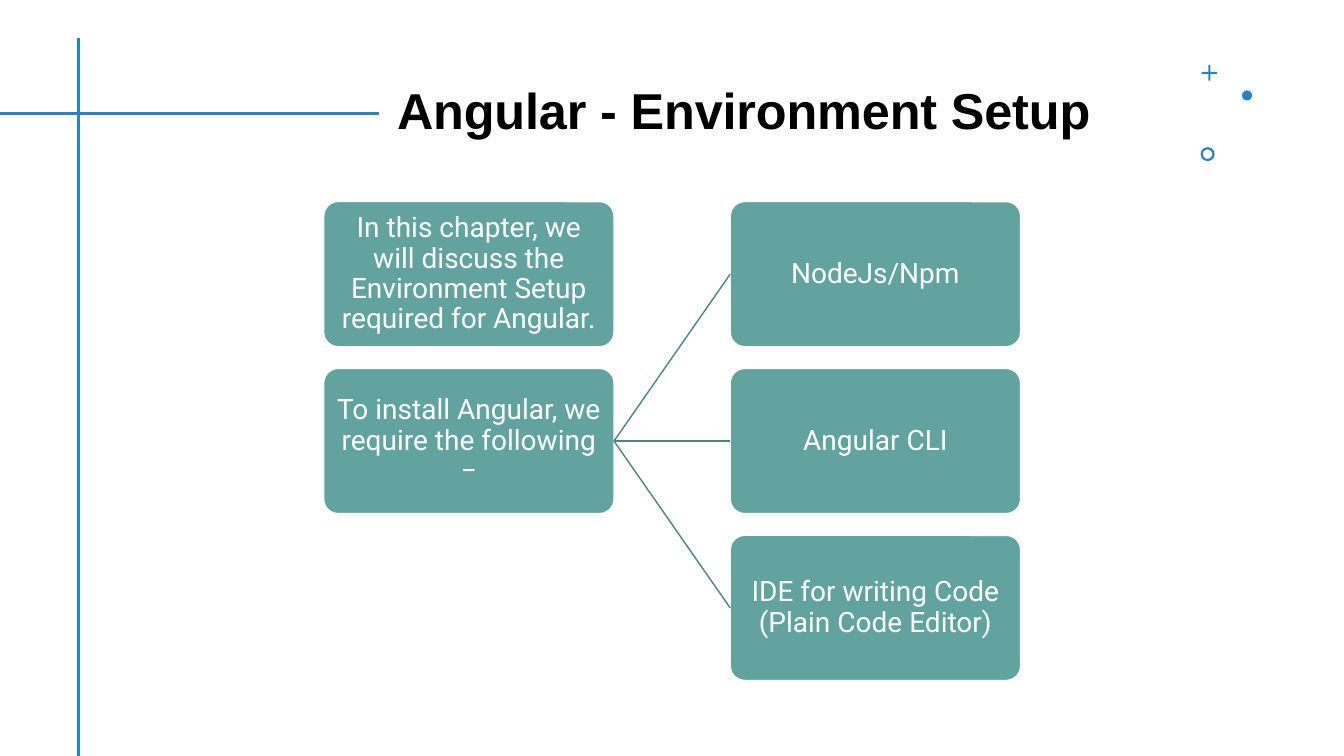
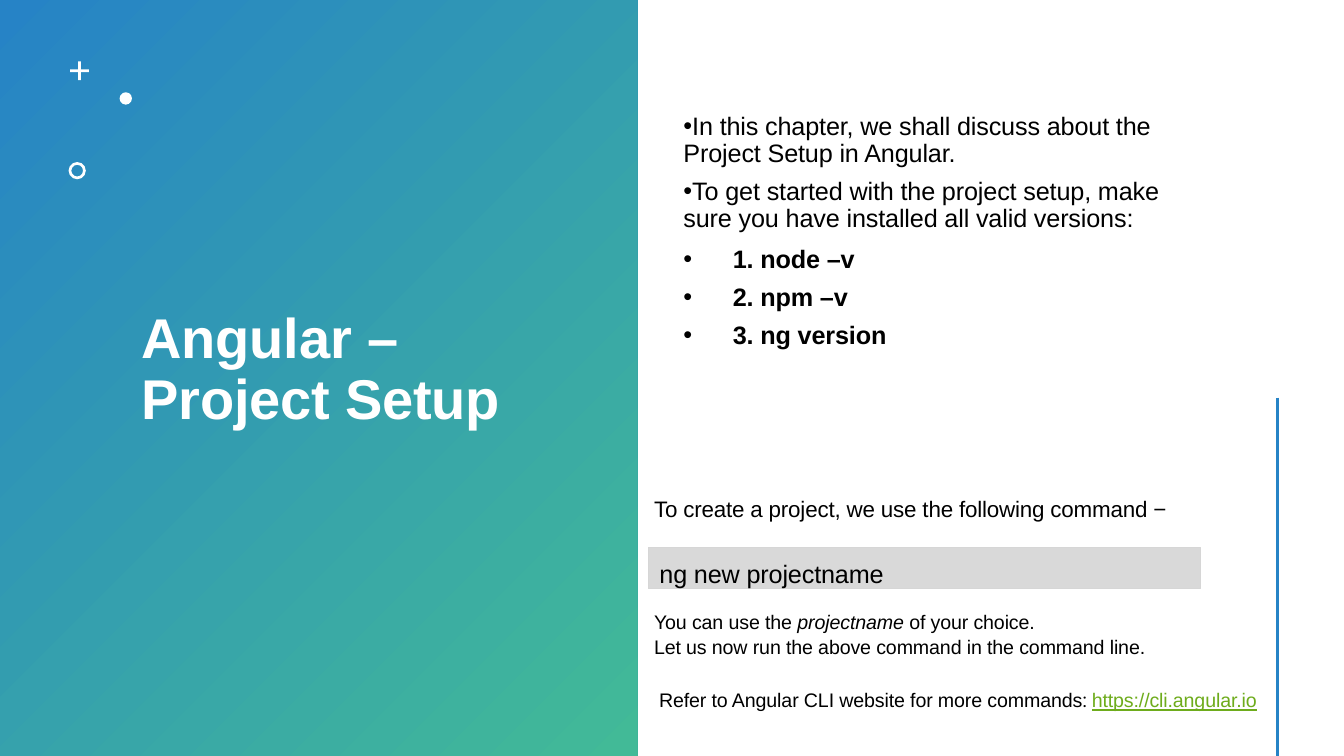
from dataclasses import dataclass

from lxml.etree import SubElement
from pptx import Presentation
from pptx.dml.color import RGBColor
from pptx.enum.shapes import MSO_CONNECTOR, MSO_SHAPE
from pptx.enum.text import MSO_ANCHOR, PP_ALIGN
from pptx.oxml.ns import qn
from pptx.util import Pt


@dataclass(frozen=True)
class Theme:
    blue: str = "2683C6"
    green: str = "42BA97"
    teal: str = "62A39F"
    dark_teal: str = "4E837F"
    black: str = "000000"
    white: str = "FFFFFF"
    gray: str = "D9D9D9"
    gray_line: str = "D6D6D6"
    link: str = "6EAC1C"
    font: str = "Arial"
    box_font: str = "Roboto"
    title: int = 36
    side_title: int = 40
    box: int = 20
    body: int = 18
    lead: int = 16
    note: int = 14
    rule: float = 2.25
    tracking: float = -0.1


THEME = Theme()
WIDTH, HEIGHT = 960, 540

# Slide 1
SETUP_TITLE = "Angular - Environment Setup"
STEPS = [
    "In this chapter, we will discuss the Environment Setup required for Angular.",
    "To install Angular, we require the following −",
]
REQUIREMENTS = ["NodeJs/Npm", "Angular CLI", "IDE for writing Code (Plain Code Editor)"]

# Slide 2: a paragraph is a list of (text, style) runs
PROJECT_TITLE = "Angular – Project Setup"
BOLD = {"bold": True}
BULLETS = [  # space before, runs
    (0, [("In this chapter, we shall discuss about the Project Setup in Angular.", {})]),
    (7.5, [("To get started with the project setup, make sure you have installed "
            "all valid versions:", {})]),
    (10, [("\t1. node –v", BOLD)]),
    (7.5, [("\t2. npm –v", BOLD)]),
    (7.5, [("\t3. ng version", BOLD)]),
]
LEAD = [[("To create a project, we use the following command −", {})]]
COMMAND = [[("ng new projectname", {})]]
NOTES = [
    [("You can use the ", {}), ("projectname ", {"italic": True}), ("of your choice.", {})],
    [("Let us now run the above command in the command line.", {})],
]
REFERENCE = [[
    ("Refer to Angular CLI website for more commands", {}),
    (": ", {"font": THEME.box_font}),
    ("https://cli.angular.io", {"color": THEME.link, "underline": True}),
]]


def rgb(value):
    return RGBColor.from_string(value)


def add_shape(slide, kind, box, fill, line=None, line_width=1.0):
    shape = slide.shapes.add_shape(kind, *map(Pt, box))
    shape.shadow.inherit = False
    shape.fill.solid()
    shape.fill.fore_color.rgb = rgb(fill)
    if line:
        shape.line.color.rgb = rgb(line)
        shape.line.width = Pt(line_width)
    else:
        shape.line.fill.background()
    return shape


def add_line(slide, start, end, color=THEME.blue, width=THEME.rule):
    connector = slide.shapes.add_connector(MSO_CONNECTOR.STRAIGHT, *map(Pt, (*start, *end)))
    connector.line.color.rgb = rgb(color)
    connector.line.width = Pt(width)
    SubElement(connector._element.spPr, qn("a:effectLst"))
    return connector


def add_run(paragraph, text, size, font=THEME.font, color=THEME.black, bold=False,
            italic=False, underline=False, tracking=THEME.tracking):
    run = paragraph.add_run()
    run.text = text
    run.font.size = Pt(size)
    run.font.name = font
    run.font.color.rgb = rgb(color)
    run.font.bold = bold
    run.font.italic = italic
    run.font.underline = underline
    run._r.get_or_add_rPr().set("spc", str(round(tracking * 100)))


def set_frame(shape, insets, anchor):
    """Insets run left, top, right, bottom."""
    frame = shape.text_frame
    frame.word_wrap = True
    frame.vertical_anchor = anchor
    (frame.margin_left, frame.margin_top,
     frame.margin_right, frame.margin_bottom) = map(Pt, insets)
    return frame


def fill_text(shape, paragraphs, size, insets=(7.2, 3.6, 7.2, 3.6), anchor=MSO_ANCHOR.TOP,
              align=PP_ALIGN.LEFT, line_spacing=1.0, spaces=(), bullet=None):
    frame = set_frame(shape, insets, anchor)
    for index, runs in enumerate(paragraphs):
        paragraph = frame.paragraphs[0] if index == 0 else frame.add_paragraph()
        paragraph.alignment = align
        paragraph.line_spacing = line_spacing
        paragraph.space_before = Pt(spaces[index] if spaces else 0)
        if bullet:
            properties = paragraph._p.get_or_add_pPr()
            properties.set("marL", str(Pt(0.72)))
            properties.set("indent", "0")
            SubElement(properties, qn("a:buFont"), typeface=THEME.font)
            SubElement(properties, qn("a:buChar"), char=bullet)
        for text, style in runs:
            add_run(paragraph, text, size, **style)


def add_text(slide, box, paragraphs, size, **layout):
    fill_text(slide.shapes.add_textbox(*map(Pt, box)), paragraphs, size, **layout)


def add_title(slide, box, text, size, color):
    runs = [(text, {"bold": True, "color": color})]
    add_text(slide, box, [runs], size, anchor=MSO_ANCHOR.MIDDLE, line_spacing=0.9)


def add_ornament(slide, left, top, color, scale=1.0):
    """Plus, dot and ring, placed from the corner of the plus."""
    marks = [  # kind, offset x, offset y, size, adjustment
        (MSO_SHAPE.CROSS, 0, 0, 11, 0.43),
        (MSO_SHAPE.OVAL, 28.8, 18, 7.2, None),
        (MSO_SHAPE.DONUT, -0.8, 58.5, 10, 0.16),
    ]
    for kind, dx, dy, size, adjustment in marks:
        box = (left + dx * scale, top + dy * scale, size * scale, size * scale)
        shape = add_shape(slide, kind, box, color)
        if adjustment:
            shape.adjustments[0] = adjustment


def add_box_column(slide, left, labels):
    top, width, height, pitch = 144, 207.4, 103.7, 119.2
    boxes = []
    for row, label in enumerate(labels):
        box = add_shape(slide, MSO_SHAPE.ROUNDED_RECTANGLE,
                        (left, top + row * pitch, width, height), THEME.teal, THEME.white)
        box.adjustments[0] = 0.1
        style = {"font": THEME.box_font, "color": THEME.white, "tracking": 0}
        fill_text(box, [[(label, style)]], THEME.box, insets=(3.6,) * 4,
                  anchor=MSO_ANCHOR.MIDDLE, align=PP_ALIGN.CENTER, line_spacing=0.9)
        boxes.append(box)
    return boxes


def build_environment_slide(slide):
    add_line(slide, (56.2, 27.5), (56.2, HEIGHT))
    add_line(slide, (0, 81), (270.5, 81))
    add_title(slide, (276.5, 29, 564, 104), SETUP_TITLE, THEME.title, THEME.black)
    add_ornament(slide, 858.4, 46.6, THEME.blue)
    install = add_box_column(slide, 231.2, STEPS)[-1]
    for requirement in add_box_column(slide, 521.6, REQUIREMENTS):
        connector = add_line(slide, (0, 0), (1, 1), THEME.dark_teal, 1)
        connector.begin_connect(install, 3)
        connector.end_connect(requirement, 1)


def build_project_slide(slide):
    panel = add_shape(slide, MSO_SHAPE.RECTANGLE, (0, 0, 455.4, HEIGHT), THEME.blue)
    panel.fill.gradient()
    panel.fill.gradient_angle = 315
    for stop, position, color in zip(panel.fill.gradient_stops, (0, 1),
                                     (THEME.blue, THEME.green)):
        stop.position = position
        stop.color.rgb = rgb(color)
    add_title(slide, (94, 30, 315, 470), PROJECT_TITLE, THEME.side_title, THEME.white)
    add_ornament(slide, 50, 43.8, THEME.white, 1.23)
    add_line(slide, (912.5, 284), (912.5, HEIGHT))

    add_text(slide, (480.4, 30, 392, 271), [runs for _, runs in BULLETS], THEME.body,
             anchor=MSO_ANCHOR.MIDDLE, line_spacing=0.9,
             spaces=[space for space, _ in BULLETS], bullet="•")
    flush = (0.72, 0.72, 0, 0)
    add_text(slide, (466.5, 353, 441, 20), LEAD, THEME.lead, insets=flush)
    bar = add_shape(slide, MSO_SHAPE.RECTANGLE, (463, 391, 394.6, 29.5),
                    THEME.gray, THEME.gray_line, 0.75)
    fill_text(bar, COMMAND, THEME.body, insets=(8, 8, 0, 0))
    add_text(slide, (466.5, 435, 462, 36), NOTES, THEME.note, insets=flush, spaces=(0, 1))
    add_text(slide, (463.7, 488, 455, 24.5), REFERENCE, THEME.note)


def main():
    presentation = Presentation()
    presentation.slide_width, presentation.slide_height = Pt(WIDTH), Pt(HEIGHT)
    for build in (build_environment_slide, build_project_slide):
        build(presentation.slides.add_slide(presentation.slide_layouts[6]))
    presentation.save("out.pptx")


if __name__ == "__main__":
    main()
